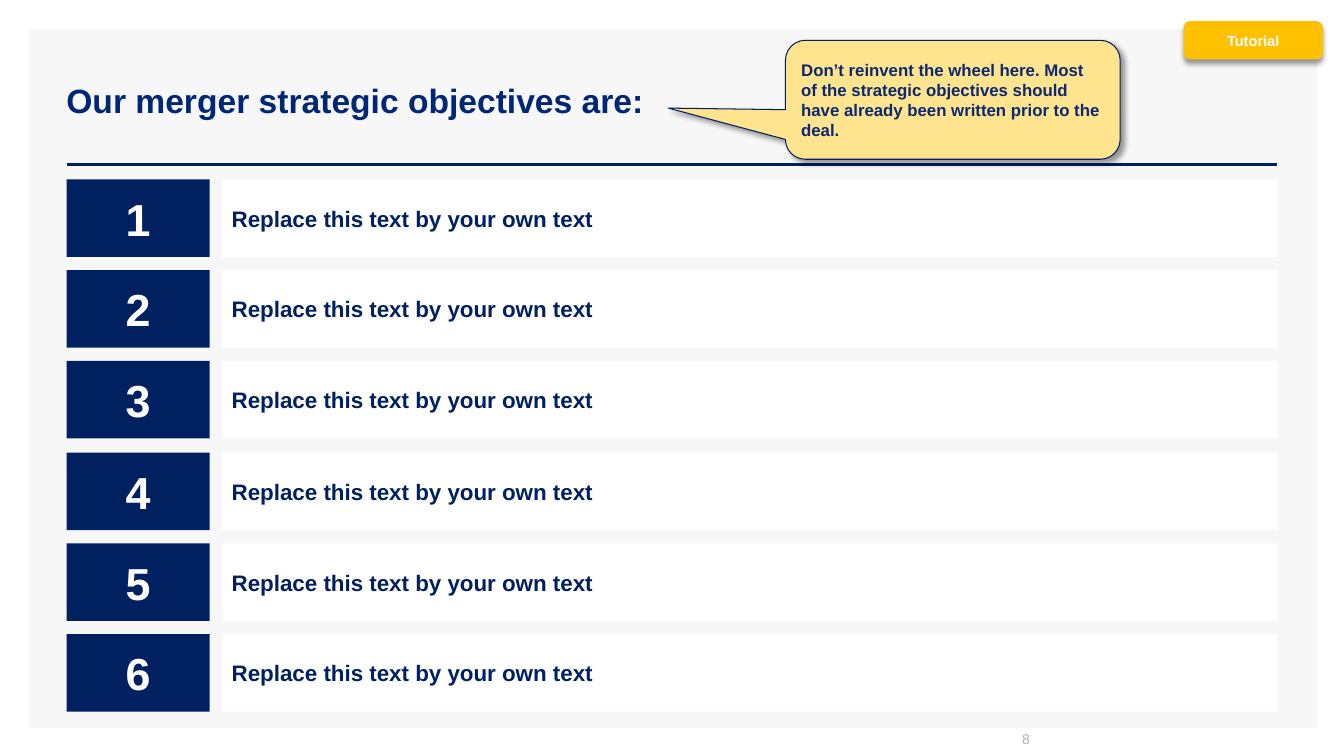
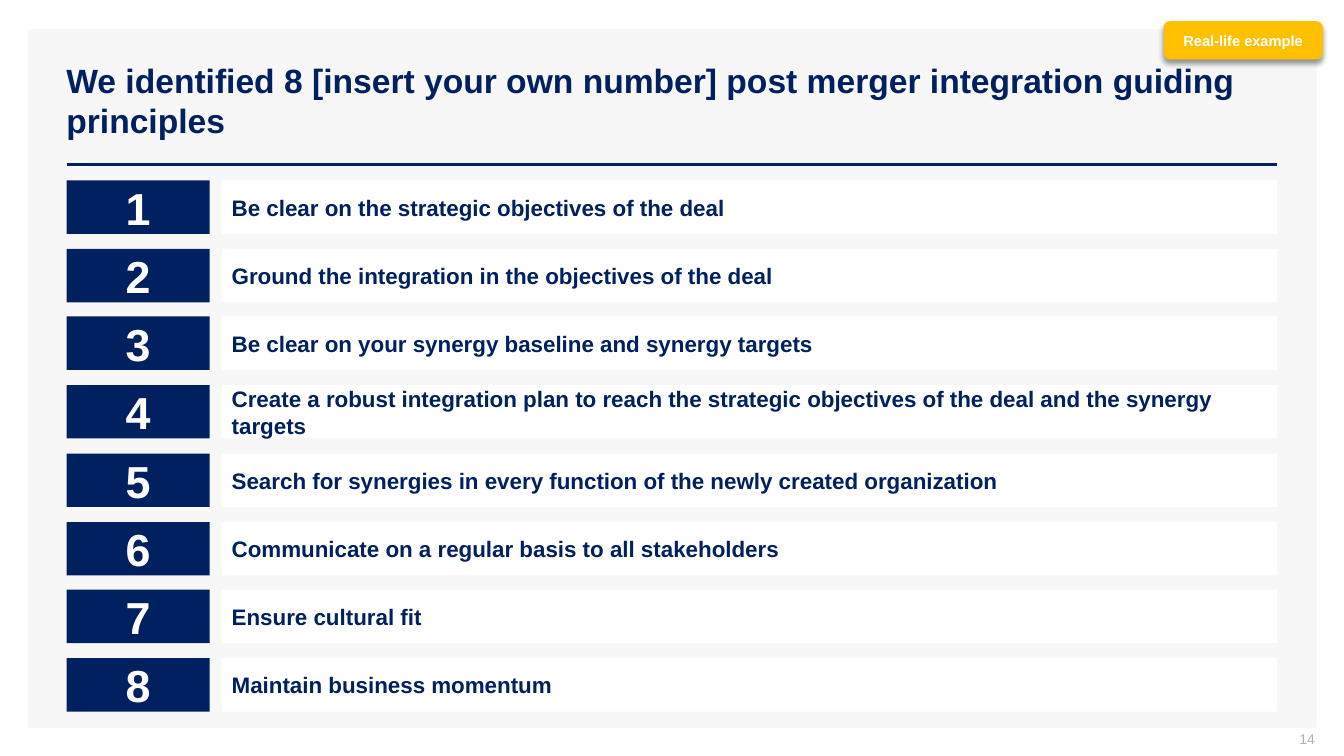
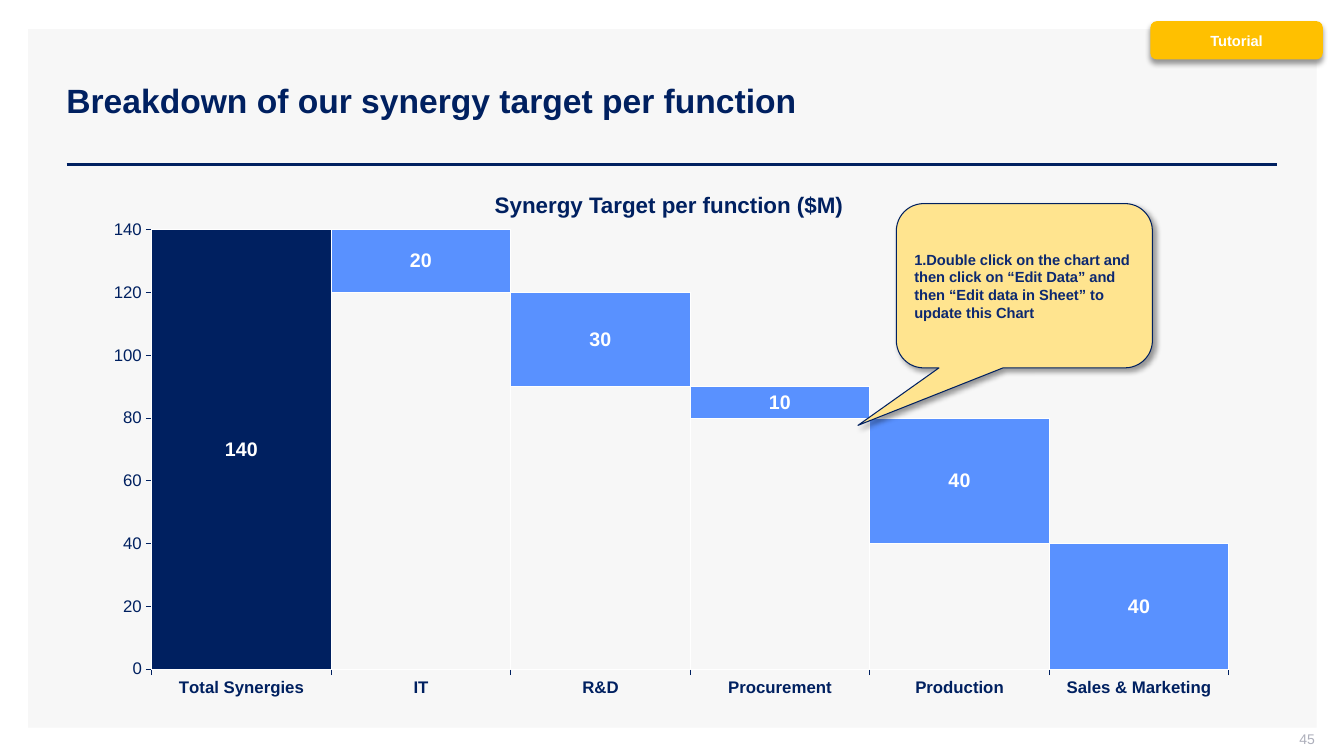
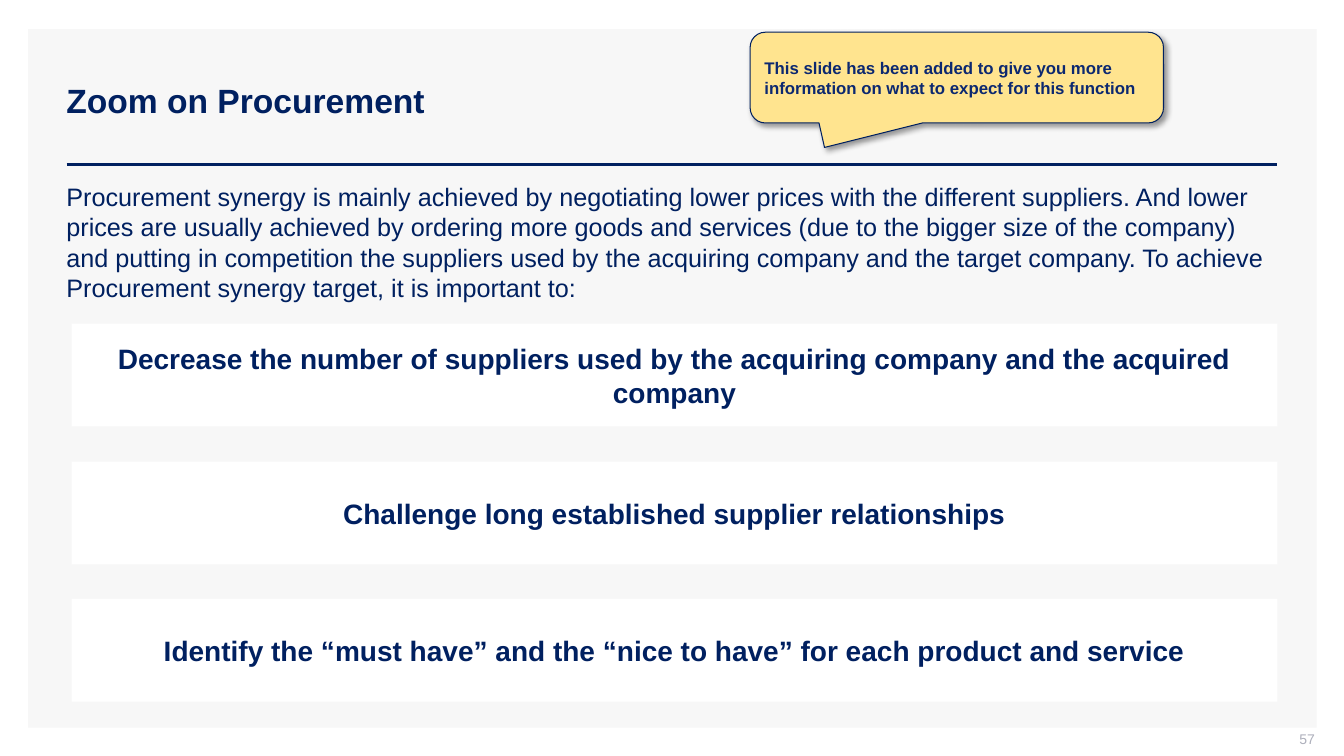
from pptx import Presentation
from pptx.chart.data import CategoryChartData
from pptx.dml.color import RGBColor
from pptx.enum.chart import XL_CHART_TYPE, XL_LABEL_POSITION, XL_TICK_MARK
from pptx.enum.shapes import MSO_CONNECTOR, MSO_SHAPE
from pptx.enum.text import MSO_ANCHOR, PP_ALIGN
from pptx.oxml import parse_xml
from pptx.oxml.ns import nsdecls, qn
from pptx.util import Emu, Pt

EMU_PER_PX = 9144
FONT = "Arial"
NAVY, TITLE_BLUE, NOTE_BLUE, SKY = "002060", "002776", "0C2870", "5991FF"
WHITE, PANEL, PAGE_GREY = "FFFFFF", "F7F7F7", "ADAFBB"
AMBER, PALE_AMBER = "FFC000", "FFE48F"
LEFT, RIGHT, CONTENT_BOTTOM = 66, 1267, 706


def px(length):
    return Emu(round(length * EMU_PER_PX))


def rgb(value):
    return RGBColor.from_string(value)


def spread(count, top, bottom, height):
    """Return the tops of equally spaced rows filling top to bottom."""
    step = (bottom - top - height) / (count - 1)
    return [round(top + index * step) for index in range(count)]


class Deck:
    def __init__(self):
        self.prs = Presentation()
        self.prs.slide_width, self.prs.slide_height = px(1333), px(750)
        self.slide = None

    def start(self, title, page, title_color=NAVY, page_align=PP_ALIGN.RIGHT):
        """Add a slide with its panel, rule, title and page number."""
        self.slide = self.prs.slides.add_slide(self.prs.slide_layouts[6])
        self.box((28, 29, 1278, 693), PANEL)
        self.rule(LEFT, RIGHT, 163)
        self.text((56, 40, 1211, 119), title, 24, title_color, bold=True)
        self.text((1004, 725, 300, 21), page, 10, PAGE_GREY,
                  align=page_align, insets=(10, 0, 0, 5))

    def set_text(self, shape, content, size, color, bold=False,
                 align=PP_ALIGN.LEFT, anchor=MSO_ANCHOR.MIDDLE,
                 insets=(10, 5, 10, 5)):
        frame = shape.text_frame
        frame.word_wrap = True
        frame.vertical_anchor = anchor
        (frame.margin_left, frame.margin_top,
         frame.margin_right, frame.margin_bottom) = map(px, insets)
        frame.text = content
        paragraph = frame.paragraphs[0]
        paragraph.alignment = align
        self.style(paragraph.runs[0].font, size, color, bold)

    def style(self, font, size, color, bold=False):
        font.name, font.size, font.bold = FONT, Pt(size), bold
        font.color.rgb = rgb(color)

    def text(self, place, content, size, color, **options):
        shape = self.slide.shapes.add_textbox(*map(px, place))
        self.set_text(shape, content, size, color, **options)

    def box(self, place, fill, kind=MSO_SHAPE.RECTANGLE):
        shape = self.slide.shapes.add_shape(kind, *map(px, place))
        shape.shadow.inherit = False
        shape.fill.solid()
        shape.fill.fore_color.rgb = rgb(fill)
        shape.line.fill.background()
        return shape

    def rule(self, left, right, y):
        line = self.slide.shapes.add_connector(
            MSO_CONNECTOR.STRAIGHT, px(left), px(y), px(right), px(y))
        self.outline(line.line, NAVY, 2)
        line.element.spPr.append(parse_xml(f"<a:effectLst {nsdecls('a')}/>"))

    def outline(self, line, color, width):
        line.color.rgb = rgb(color)
        line.width = Pt(width)

    def cast_shadow(self, shape, degrees):
        shape.element.spPr.find(qn("a:effectLst")).append(parse_xml(
            f'<a:outerShdw {nsdecls("a")} blurRad="{Pt(4)}" dist="{Pt(3)}" '
            f'dir="{degrees * 60000}" algn="tl" rotWithShape="0">'
            '<a:srgbClr val="000000"><a:alpha val="40000"/></a:srgbClr>'
            '</a:outerShdw>'))

    def tag(self, label, width):
        """Add the amber tag in the top right corner."""
        shape = self.box((1312 - width, 21, width, 38), AMBER,
                         MSO_SHAPE.ROUNDED_RECTANGLE)
        self.cast_shadow(shape, 90)
        self.set_text(shape, label, 10.5, WHITE, bold=True,
                      align=PP_ALIGN.CENTER)

    def callout(self, place, tip, content, size=12):
        """Add a speech bubble; tip is the pointer offset from its centre."""
        shape = self.box(place, PALE_AMBER, MSO_SHAPE.ROUNDED_RECTANGULAR_CALLOUT)
        shape.adjustments[0], shape.adjustments[1] = tip
        self.outline(shape.line, NAVY, 0.75)
        self.cast_shadow(shape, 45)
        self.set_text(shape, content, size, NOTE_BLUE, bold=True)

    def numbered_rows(self, items, top, height):
        tops = spread(len(items), top, CONTENT_BOTTOM, height)
        for number, (y, item) in enumerate(zip(tops, items), 1):
            badge = self.box((LEFT, y, 142, height), NAVY)
            self.set_text(badge, str(number), 32, WHITE, bold=True,
                          align=PP_ALIGN.CENTER)
            bar = self.box((220, y, RIGHT - 220, height), WHITE)
            self.set_text(bar, item, 16, NAVY, bold=True)

    def statements(self, items, top, bottom, height):
        for y, item in zip(spread(len(items), top, bottom, height), items):
            bar = self.box((71, y, RIGHT - 71, height), WHITE)
            self.set_text(bar, item, 20, NAVY, bold=True, align=PP_ALIGN.CENTER)

    def waterfall(self, place, categories, series, layout):
        """Add stacked columns; series holds (name, values, colour, labelled)."""
        data = CategoryChartData()
        data.categories = categories
        for name, values, _, _ in series:
            data.add_series(name, values)
        chart = self.slide.shapes.add_chart(
            XL_CHART_TYPE.COLUMN_STACKED, *map(px, place), data).chart
        chart.has_title = chart.has_legend = False
        self.style(chart.font, 12, NAVY)

        plot = chart.plots[0]
        plot.gap_width, plot.overlap, plot.vary_by_categories = 0, 100, False
        for columns, (_, _, color, labelled) in zip(plot.series, series):
            columns.format.fill.solid()
            columns.format.fill.fore_color.rgb = rgb(color)
            self.outline(columns.format.line, WHITE, 0.75)
            if labelled:
                labels = columns.data_labels
                labels.show_value = True
                labels.position = XL_LABEL_POSITION.CENTER
                self.style(labels.font, 14, WHITE, bold=True)

        scale = chart.value_axis
        for axis, bold in ((chart.category_axis, True), (scale, False)):
            axis.has_major_gridlines = False
            axis.major_tick_mark = XL_TICK_MARK.OUTSIDE
            axis.minor_tick_mark = XL_TICK_MARK.NONE
            self.outline(axis.format.line, NAVY, 0.75)
            self.style(axis.tick_labels.font, 12, NAVY, bold)
        scale.minimum_scale, scale.maximum_scale, scale.major_unit = 0, 140, 20
        self.place_plot(chart, layout)

    def place_plot(self, chart, layout):
        """Fix the inner plot area and leave the chart background clear."""
        root = chart.element.find(qn("c:chart"))
        area = root.find(qn("c:plotArea"))
        for old in area.findall(qn("c:layout")):
            area.remove(old)
        sizes = "".join(f'<c:{key} val="{value}"/>'
                        for key, value in zip("xywh", layout))
        area.insert(0, parse_xml(
            f'<c:layout {nsdecls("c")}><c:manualLayout>'
            '<c:layoutTarget val="inner"/>'
            '<c:xMode val="edge"/><c:yMode val="edge"/>'
            f'{sizes}</c:manualLayout></c:layout>'))
        root.addnext(parse_xml(
            f'<c:spPr {nsdecls("c", "a")}><a:noFill/>'
            '<a:ln><a:noFill/></a:ln></c:spPr>'))


def objectives(deck):
    deck.start("Our merger strategic objectives are:", "8",
               title_color=TITLE_BLUE, page_align=PP_ALIGN.LEFT)
    deck.numbered_rows(["Replace this text by your own text"] * 6, 178, 77)
    deck.callout((779, 40, 332, 118), (-0.85, 0.07),
                 "Don’t reinvent the wheel here. Most of the strategic objectives "
                 "should have already been written prior to the deal.")
    deck.tag("Tutorial", 138)


def principles(deck):
    deck.start("We identified 8 [insert your own number] post merger integration "
               "guiding principles", "14")
    deck.numbered_rows([
        "Be clear on the strategic objectives of the deal",
        "Ground the integration in the objectives of the deal",
        "Be clear on your synergy baseline and synergy targets",
        "Create a robust integration plan to reach the strategic objectives of "
        "the deal and the synergy targets",
        "Search for synergies in every function of the newly created organization",
        "Communicate on a regular basis to all stakeholders",
        "Ensure cultural fit",
        "Maintain business momentum",
    ], 179, 53)
    deck.tag("Real-life example", 158)


def synergy_breakdown(deck):
    deck.start("Breakdown of our synergy target per function", "45")
    deck.text((63, 189, 1201, 27), "Synergy Target per function ($M)", 16, NAVY,
              bold=True, align=PP_ALIGN.CENTER, insets=(0, 0, 0, 0))
    deck.waterfall(
        (40, 203, 1228, 501),
        ["Total Synergies", "IT", "R&D", "Procurement", "Production",
         "Sales & Marketing"],
        [("Series 1", [0, 120, 90, 80, 40, 0], PANEL, False),
         ("Series 2", [None, 20, 30, 10, 40, 40], SKY, True),
         ("Series 3", [140] + [None] * 5, NAVY, True)],
        (0.09, 0.05, 0.87, 0.87))
    deck.callout((889, 202, 254, 163), (-0.65, 0.85),
                 "1.Double click on the chart and then click on “Edit Data” and "
                 "then “Edit data in Sheet” to update this Chart", size=10.5)
    deck.tag("Tutorial", 171)


def procurement(deck):
    deck.start("Zoom on Procurement", "57")
    deck.text((56, 175, 1211, 131),
              "Procurement synergy is mainly achieved by negotiating lower prices "
              "with the different suppliers. And lower prices are usually achieved "
              "by ordering more goods and services (due to the bigger size of the "
              "company) and putting in competition the suppliers used by the "
              "acquiring company and the target company. To achieve Procurement "
              "synergy target, it is important to:",
              18, NAVY, anchor=MSO_ANCHOR.TOP)
    deck.statements([
        "Decrease the number of suppliers used by the acquiring company and the "
        "acquired company",
        "Challenge long established supplier relationships",
        "Identify the “must have” and the “nice to have” for each product and "
        "service",
    ], 321, 696, 102)
    deck.callout((744, 32, 410, 90), (-0.32, 0.77),
                 "This slide has been added to give you more information on what "
                 "to expect for this function")


def main():
    deck = Deck()
    for build in (objectives, principles, synergy_breakdown, procurement):
        build(deck)
    deck.prs.save("out.pptx")


if __name__ == "__main__":
    main()
